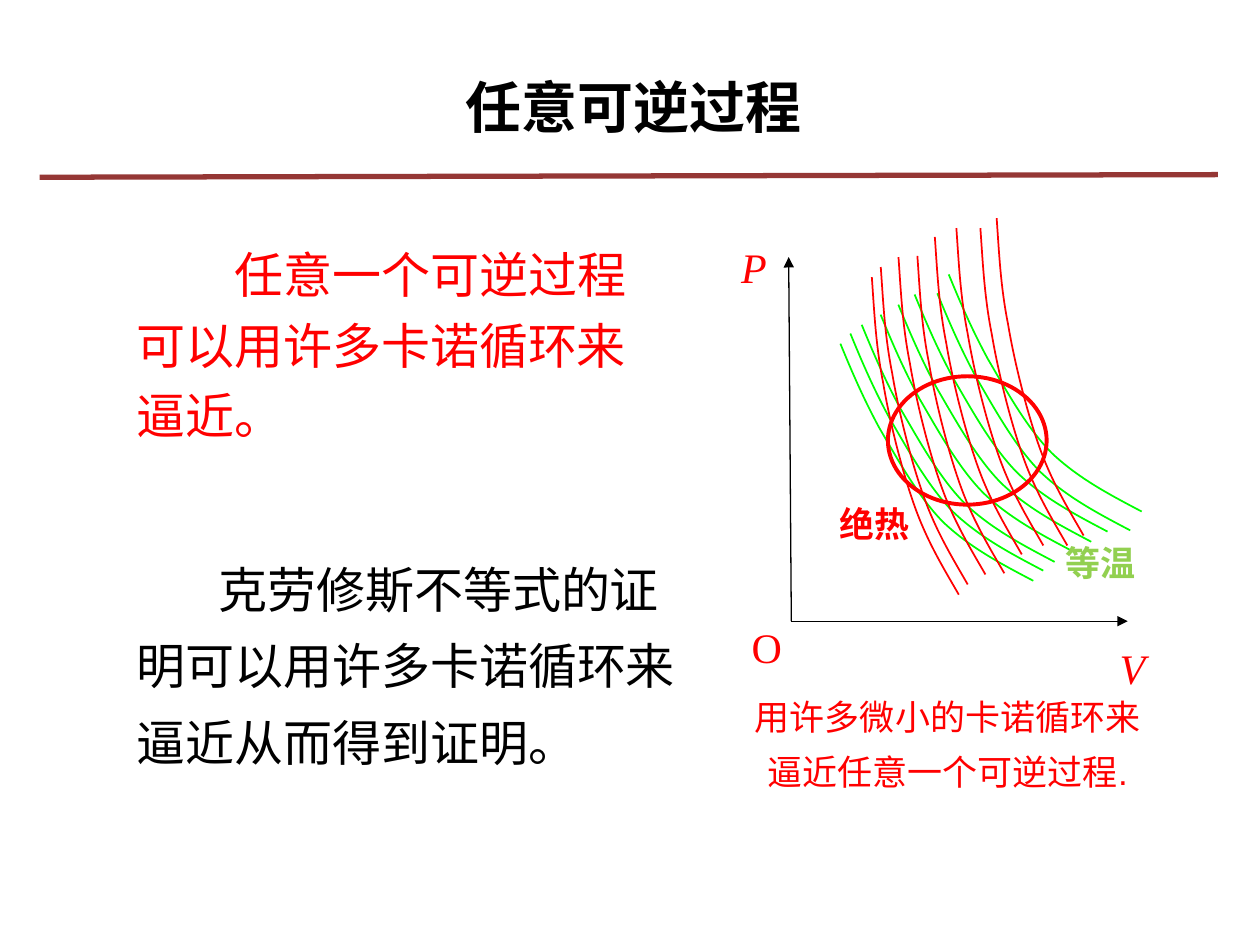
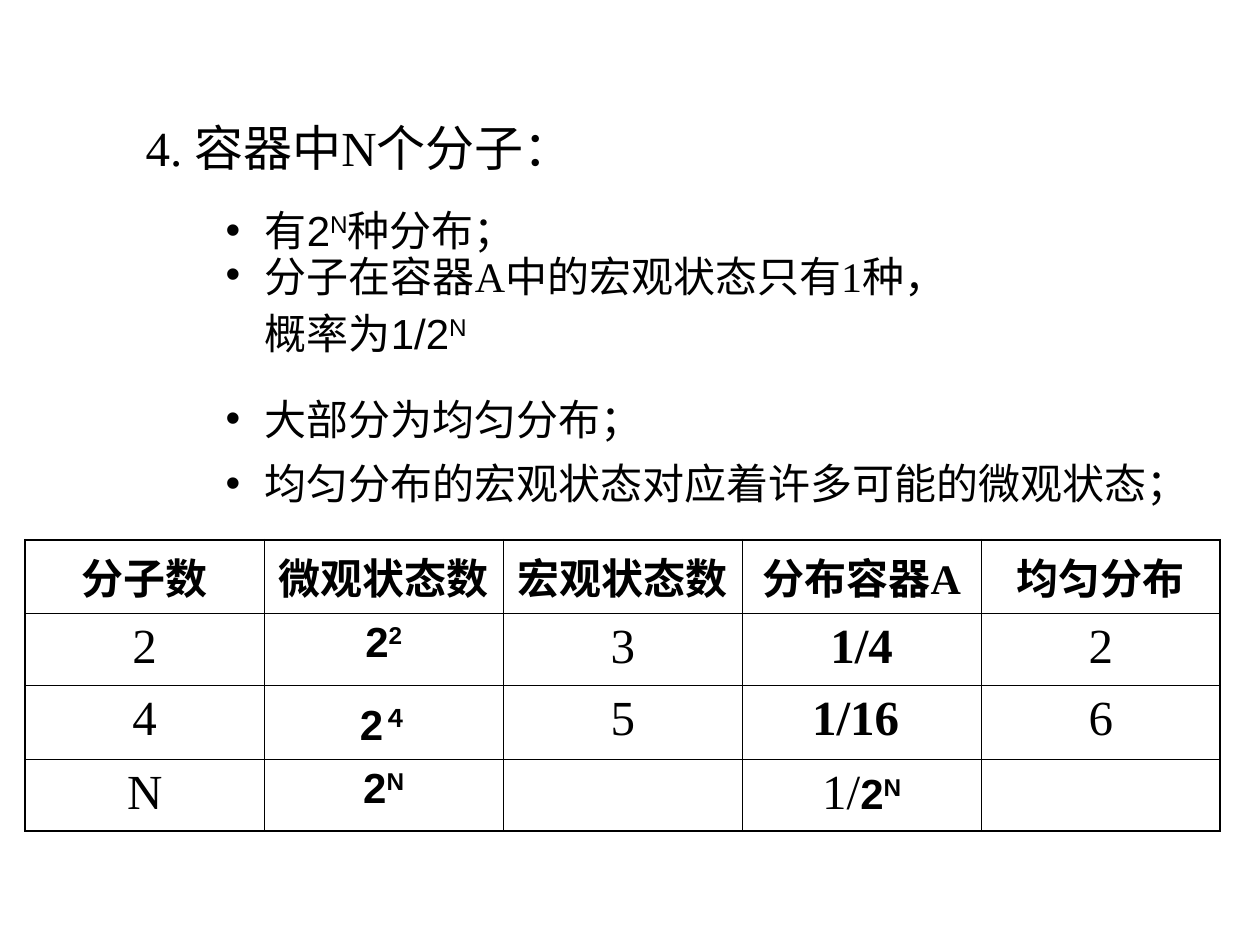
import itertools
from dataclasses import dataclass
from typing import NamedTuple

import pptx
import pptx.dml.color
import pptx.enum.shapes
import pptx.enum.text
import pptx.oxml
import pptx.oxml.ns
import pptx.util
from pptx.util import Pt

BLACK = pptx.dml.color.RGBColor(0x00, 0x00, 0x00)
RED = pptx.dml.color.RGBColor(0xFF, 0x00, 0x00)
GREEN = pptx.dml.color.RGBColor(0x00, 0xFF, 0x00)
LABEL_GREEN = pptx.dml.color.RGBColor(0x92, 0xD0, 0x50)
BROWN = pptx.dml.color.RGBColor(0x95, 0x37, 0x35)

SANS = "Arial"
SERIF = "Times New Roman"
CENTER = pptx.enum.text.PP_ALIGN.CENTER
LEFT = pptx.enum.text.PP_ALIGN.LEFT
TITLE_ONLY = 5
NAMESPACE = 'xmlns:a="http://schemas.openxmlformats.org/drawingml/2006/main"'


class Box(NamedTuple):
    left: float
    top: float
    width: float
    height: float


class Point(NamedTuple):
    x: float
    y: float


class Run(NamedTuple):
    """A piece of text; unset values come from its paragraph."""
    text: str
    font: str | None = None
    size: float | None = None
    bold: bool | None = None
    raised: bool = False


@dataclass(frozen=True)
class Label:
    text: str
    box: Box
    size: float
    font: str = SERIF
    color: pptx.dml.color.RGBColor = RED
    bold: bool = False
    italic: bool = False
    align: pptx.enum.text.PP_ALIGN = LEFT
    line_spacing: float = 1.3
    first_indent: float = 0


@dataclass(frozen=True)
class CurveFamily:
    """Equal curves: Bezier points relative to each of the starts."""
    color: pptx.dml.color.RGBColor
    rotation: float
    starts: tuple[tuple[float, float], ...]
    controls: tuple[tuple[float, float], ...]


ADIABATS = CurveFamily(
    RED, 0,
    ((498.2, 158.4), (503.3, 152.6), (513.4, 146.9), (524.2, 146.2),
     (534.2, 135.4), (546.5, 130.3), (560.2, 130.3), (569.5, 124.6)),
    ((0, 0), (1.4, 19.4), (2.2, 38.9), (6.5, 60.5), (10.1, 82.1),
     (17.3, 110.9), (24.5, 131), (31.7, 151.2), (41, 166.3), (49.7, 181.4)),
)
ISOTHERMS = CurveFamily(
    GREEN, 348.1,
    ((495.4, 186.5), (501.1, 180.7), (507.6, 175.7), (518.4, 169.9),
     (528.5, 164.2), (537.8, 158.4), (550.8, 157.7), (557.3, 146.9)),
    ((0, 0), (3.1, 16.8), (6.3, 33), (11.9, 51.8), (18.2, 70.8),
     (25.5, 95.1), (36.7, 112.2), (48.6, 129.4), (64.2, 142.3), (79.9, 155.3)),
)
ORIGIN = Point(452.2, 355)
PRESSURE_TIP = Point(450.7, 146.9)
VOLUME_TIP = Point(644.4, 355)

DIAGRAM_LABELS = (
    Label("P", Box(416.4, 126, 48.2, 44.6), 24, italic=True),
    Label("V", Box(632.7, 355, 32, 44.6), 24, italic=True),
    Label("O", Box(422.4, 342.7, 32, 44.6), 24),
    Label("用许多微小的卡诺循环来逼近任意一个可逆过程.",
          Box(422.4, 386.8, 238.3, 69.8), 20, SANS, align=CENTER),
    Label("任意一个可逆过程可以用许多卡诺循环来逼近。",
          Box(71, 129.6, 311.8, 128.2), 28, SANS,
          line_spacing=1.2, first_indent=56),
    Label("克劳修斯不等式的证明可以用许多卡诺循环来逼近从而得到证明。",
          Box(71, 306, 334.8, 138.2), 28, SANS, BLACK, first_indent=46.8),
    Label("绝热", Box(472.7, 283.7, 84.2, 45.4), 20, bold=True, line_spacing=1),
    Label("等温", Box(601.9, 306, 84.2, 45.4), 20, color=LABEL_GREEN,
          bold=True, line_spacing=1),
)

BULLET_LEFT = 121.9
BULLET_INDENT = 22.4


def power(exponent: str, bold: bool | None = None) -> list[Run]:
    """Two raised to the exponent."""
    return [Run("2", SANS, 24, bold), Run(exponent, SANS, 24, bold, raised=True)]


TABLE_BOX = Box(14.4, 308.4, 682.9, 165)
TABLE_ROWS = (
    ("分子数", "微观状态数", "宏观状态数", "分布容器A", "均匀分布"),
    ("2", power("2", True), "3", [Run("1/4", bold=True)], "2"),
    ("4", power("４", True), "5", [Run("1/16 ", bold=True)], "6"),
    ("N", power("N", True), "", [Run("1/"), *power("N", True)], ""),
)


def write(frame, text: str | list[Run], *, size: float, font: str = SERIF,
          color=BLACK, bold: bool = False, italic: bool = False, align=LEFT,
          line_spacing: float = 1.0, space_before: float = 0,
          indent: float = 0, first_indent: float = 0, bullet: bool = False) -> None:
    """Fill the empty first paragraph of the frame, or add another one."""
    paragraph = frame.paragraphs[0]
    if paragraph.runs:
        paragraph = frame.add_paragraph()
    paragraph.alignment = align
    paragraph.line_spacing = line_spacing
    paragraph.space_before = Pt(space_before)
    properties = paragraph._p.get_or_add_pPr()
    properties.set("marL", str(Pt(indent)))
    properties.set("indent", str(Pt(first_indent)))
    if bullet:
        for xml in (f'<a:buClr {NAMESPACE}><a:srgbClr val="{color}"/></a:buClr>',
                    f'<a:buFont {NAMESPACE} typeface="{SANS}"/>',
                    f'<a:buChar {NAMESPACE} char="•"/>'):
            properties.append(pptx.oxml.parse_xml(xml))
    for piece in [Run(text)] if isinstance(text, str) else text:
        run = paragraph.add_run()
        run.text = piece.text
        run.font.name = piece.font or font
        run.font.size = Pt(piece.size or size)
        run.font.bold = bold if piece.bold is None else piece.bold
        run.font.italic = italic
        run.font.color.rgb = color
        if piece.raised:
            run._r.get_or_add_rPr().set("baseline", "30000")


def place(shape, box: Box):
    """Position a text shape, set its margins and give back its frame."""
    shape.left, shape.top, shape.width, shape.height = map(Pt, box)
    frame = shape.text_frame
    frame.auto_size = pptx.enum.text.MSO_AUTO_SIZE.NONE
    frame.word_wrap = True
    frame.vertical_anchor = pptx.enum.text.MSO_ANCHOR.TOP
    frame.margin_left = frame.margin_right = Pt(7.2)
    frame.margin_top = frame.margin_bottom = Pt(3.6)
    return frame


def add_text_box(slide, box: Box):
    return place(slide.shapes.add_textbox(*map(Pt, box)), box)


def add_titled_slide(presentation, title: str, box: Box, **style):
    slide = presentation.slides.add_slide(presentation.slide_layouts[TITLE_ONLY])
    write(place(slide.shapes.title, box), title, **style)
    return slide


def add_line(slide, start: Point, end: Point, color, width: float,
             arrow: bool = False) -> None:
    line = slide.shapes.add_connector(
        pptx.enum.shapes.MSO_CONNECTOR.STRAIGHT, *map(Pt, (*start, *end)))
    line.line.color.rgb = color
    line.line.width = Pt(width)
    if arrow:
        line.line._get_or_add_ln().append(
            pptx.oxml.parse_xml(f'<a:tailEnd {NAMESPACE} type="triangle"/>'))
    line._element.spPr.append(pptx.oxml.parse_xml(f"<a:effectLst {NAMESPACE}/>"))


def outline(shape, color, width: float) -> None:
    shape.shadow.inherit = False
    shape.fill.background()
    shape.line.color.rgb = color
    shape.line.width = Pt(width)


def bend(shape) -> None:
    """Turn each three line segments of a freeform into one cubic curve."""
    segments = list(shape._element.iter(pptx.oxml.ns.qn("a:lnTo")))
    for first in range(0, len(segments), 3):
        curve = pptx.oxml.parse_xml(f"<a:cubicBezTo {NAMESPACE}/>")
        segments[first].addprevious(curve)
        for segment in segments[first:first + 3]:
            curve.append(segment[0])
            segment.getparent().remove(segment)


def add_curves(slide, family: CurveFamily) -> None:
    for x, y in family.starts:
        points = [(Pt(x + dx), Pt(y + dy)) for dx, dy in family.controls]
        builder = slide.shapes.build_freeform(*points[0])
        builder.add_line_segments(points[1:], close=False)
        curve = builder.convert_to_shape()
        bend(curve)
        curve.rotation = family.rotation
        outline(curve, family.color, 1)


def set_borders(cell, widths: dict[str, float]) -> None:
    properties = cell._tc.get_or_add_tcPr()
    for side, width in widths.items():
        properties.append(pptx.oxml.parse_xml(
            f'<a:ln{side} {NAMESPACE} w="{Pt(width)}"><a:solidFill>'
            f'<a:srgbClr val="{BLACK}"/></a:solidFill></a:ln{side}>'))


def add_state_table(slide) -> None:
    row_count, column_count = len(TABLE_ROWS), len(TABLE_ROWS[0])
    table = slide.shapes.add_table(row_count, column_count, *map(Pt, TABLE_BOX)).table
    table.first_row = table.horz_banding = False
    for column in table.columns:
        column.width = Pt(TABLE_BOX.width / column_count)
    for row in table.rows:
        row.height = Pt(TABLE_BOX.height / row_count)
    for r, c in itertools.product(range(row_count), range(column_count)):
        cell = table.cell(r, c)
        outer = {"L": c == 0, "R": c == column_count - 1,
                 "T": r == 0, "B": r == row_count - 1}
        set_borders(cell, {side: 1.08 if edge else 0.45 for side, edge in outer.items()})
        cell.fill.background()
        if TABLE_ROWS[r][c]:
            write(cell.text_frame, TABLE_ROWS[r][c], size=28 if r else 24,
                  bold=r == 0, align=CENTER)


def build_process_slide(presentation) -> None:
    slide = add_titled_slide(presentation, "任意可逆过程", Box(258.9, 37.8, 210, 46.1),
                             size=32, font=SANS, bold=True)
    for tip in (PRESSURE_TIP, VOLUME_TIP):
        add_line(slide, ORIGIN, tip, BLACK, 0.75, arrow=True)
    for family in (ISOTHERMS, ADIABATS):
        add_curves(slide, family)
    cycle = slide.shapes.add_shape(pptx.enum.shapes.MSO_SHAPE.OVAL,
                                   *map(Pt, Box(507.4, 215, 90.7, 73.4)))
    outline(cycle, RED, 2.25)
    for label in DIAGRAM_LABELS:
        write(add_text_box(slide, label.box), label.text, size=label.size,
              font=label.font, color=label.color, bold=label.bold,
              italic=label.italic, align=label.align,
              line_spacing=label.line_spacing, first_indent=label.first_indent)
    add_line(slide, Point(22.6, 101.3), Point(695.9, 99.8), BROWN, 3)


def build_molecule_slide(presentation) -> None:
    slide = add_titled_slide(presentation, "4. 容器中N个分子：", Box(48.4, 53.3, 540, 51.1),
                             size=28, line_spacing=1.3, indent=27.6)
    bullet_style = dict(size=24, indent=BULLET_INDENT, first_indent=-BULLET_INDENT,
                        bullet=True)
    for top, width, text in (
        (104.7, 345.6, [Run("有"), *power("N"), Run("种"), Run("分布", SANS), Run("；")]),
        (212.5, 425.5, "大部分为均匀分布；"),
        (249.3, 583.9, "均匀分布的宏观状态对应着许多可能的微观状态；"),
    ):
        frame = add_text_box(slide, Box(BULLET_LEFT, top, width, 44.6))
        write(frame, text, line_spacing=1.3, **bullet_style)
    frame = add_text_box(slide, Box(BULLET_LEFT, 150, 453.6, 56.9))
    write(frame, "分子在容器A中的宏观状态只有1种，", line_spacing=0.6, **bullet_style)
    write(frame, [Run("概率为1/", SANS), *power("N")], size=24, line_spacing=0.6,
          space_before=15, indent=BULLET_INDENT)
    add_state_table(slide)


def main() -> None:
    presentation = pptx.Presentation()
    presentation.slide_width, presentation.slide_height = Pt(720), Pt(540)
    build_process_slide(presentation)
    build_molecule_slide(presentation)
    presentation.save("out.pptx")


if __name__ == "__main__":
    main()
